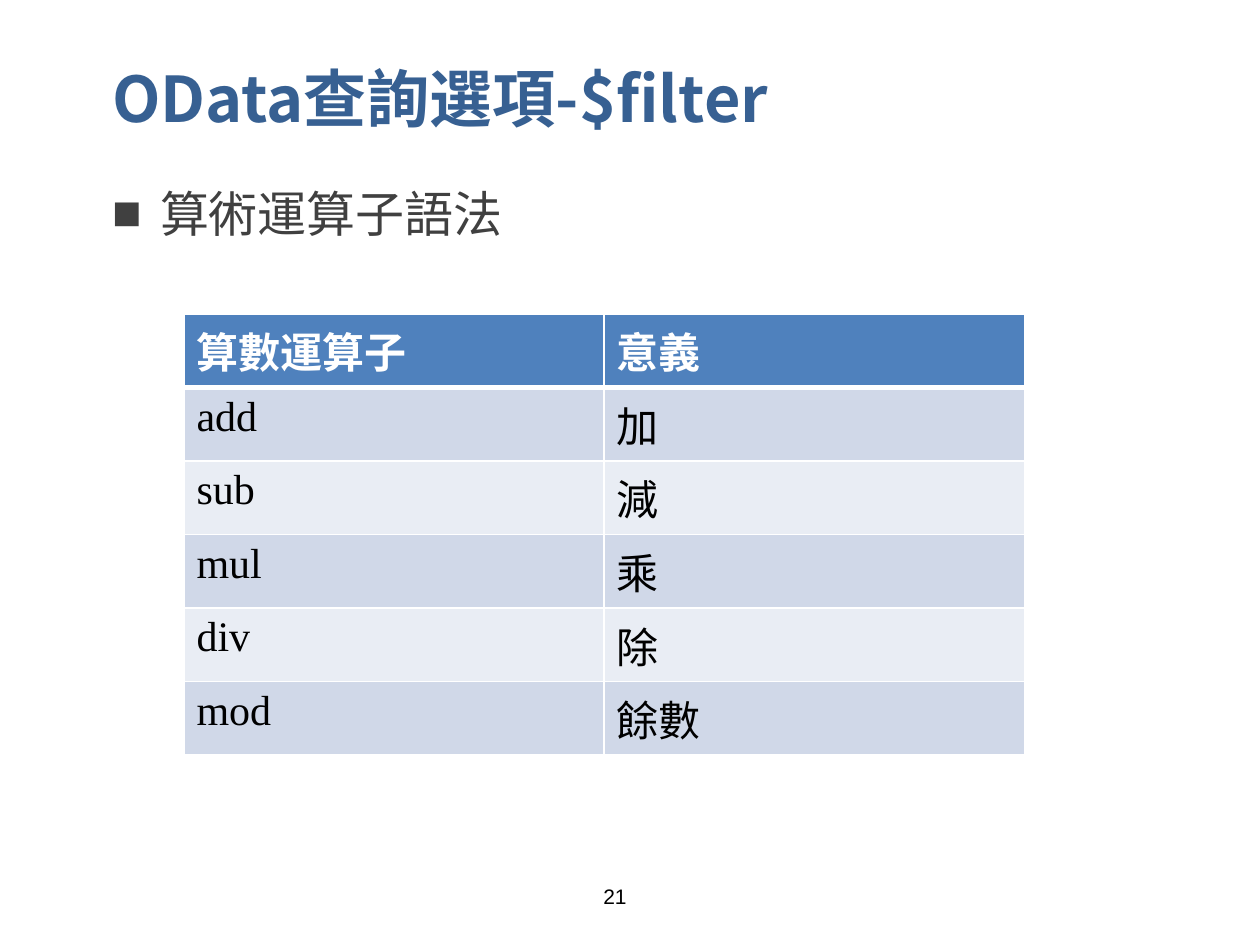
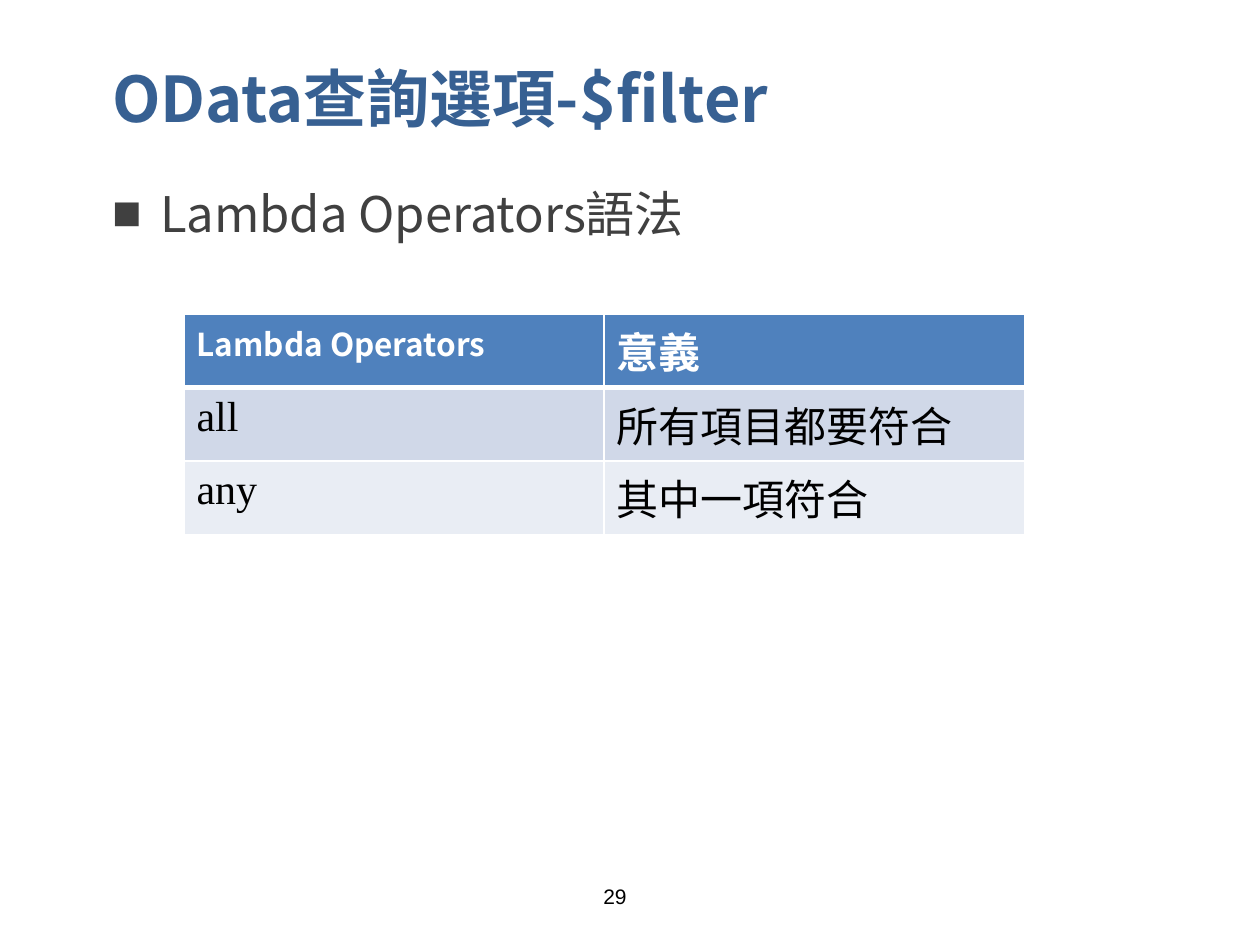
from dataclasses import dataclass

from lxml import etree
from pptx import Presentation
from pptx.dml.color import RGBColor
from pptx.enum.text import MSO_ANCHOR, PP_ALIGN
from pptx.oxml.ns import qn
from pptx.util import Inches, Pt

LEFT = PP_ALIGN.LEFT
MIDDLE, TOP = MSO_ANCHOR.MIDDLE, MSO_ANCHOR.TOP

TITLE = "OData查詢選項-$filter"
SLIDES = [
    {
        "page": "21",
        "topic": "算術運算子語法",
        "header_format": {},
        "operators": [
            ("算數運算子", "意義"),
            ("add", "加"),
            ("sub", "減"),
            ("mul", "乘"),
            ("div", "除"),
            ("mod", "餘數"),
        ],
    },
    {
        "page": "29",
        "topic": "Lambda Operators語法",
        "header_format": {"size": 18, "font": "Noto Sans CJK JP"},
        "operators": [
            ("Lambda Operators", "意義"),
            ("all", "所有項目都要符合"),
            ("any", "其中一項符合"),
        ],
    },
]


@dataclass(frozen=True)
class Theme:
    title: str = "376092"
    body: str = "404040"
    black: str = "000000"
    white: str = "FFFFFF"
    header: str = "4F81BD"
    bands: tuple = ("D0D8E8", "E9EDF4")
    title_font: str = "Noto Sans CJK JP"
    body_font: str = "Noto Sans CJK SC"
    table_font: str = "Times New Roman"
    page_font: str = "Arial"
    title_size: int = 36
    body_size: int = 28
    table_size: int = 24
    page_size: int = 12
    rule: int = 1
    header_rule: int = 3


THEME = Theme()
TITLE_BOX = (0.79, 0.42, 9.21, 0.71)
BODY_BOX = (0.79, 1.31, 9.21, 5.59)
PAGE_BOX = (4.69, 6.96, 0.63, 0.5)
TABLE_LEFT, TABLE_TOP, TABLE_WIDTH, ROW_HEIGHT = 1.46, 2.49, 6.67, 0.41
BULLET_INDENT = Inches(0.38)


def write(frame, text, *, size, color, font, east_font=THEME.title_font,
          bold=False, anchor=None):
    frame.word_wrap = True
    if anchor is not None:
        frame.vertical_anchor = anchor
    paragraph = frame.paragraphs[0]
    paragraph.alignment = LEFT
    run = paragraph.add_run()
    run.text = text
    run.font.size = Pt(size)
    run.font.bold = bold
    run.font.name = font
    run.font.color.rgb = RGBColor.from_string(color)
    latin = run.font._element.find(qn("a:latin"))
    latin.addnext(latin.makeelement(qn("a:ea"), {"typeface": east_font}))
    return paragraph


def place(shape, box):
    shape.left, shape.top, shape.width, shape.height = map(Inches, box)


def add_bullet(paragraph):
    paragraph.line_spacing = 1.2
    properties = paragraph._p.get_or_add_pPr()
    properties.set("marL", str(BULLET_INDENT))
    properties.set("indent", str(-BULLET_INDENT))
    etree.SubElement(properties, qn("a:buFont"), typeface=THEME.page_font)
    etree.SubElement(properties, qn("a:buChar"), char="■")


def set_borders(cell, top, bottom):
    properties = cell._tc.get_or_add_tcPr()
    widths = {"lnL": THEME.rule, "lnR": THEME.rule, "lnT": top, "lnB": bottom}
    for position, (side, width) in enumerate(widths.items()):
        line = properties.makeelement(qn(f"a:{side}"), {"w": str(Pt(width))})
        fill = etree.SubElement(line, qn("a:solidFill"))
        etree.SubElement(fill, qn("a:srgbClr"), val=THEME.white)
        properties.insert(position, line)


def add_operator_table(slide, operators, header_format):
    columns = len(operators[0])
    table = slide.shapes.add_table(
        len(operators), columns, Inches(TABLE_LEFT), Inches(TABLE_TOP),
        Inches(TABLE_WIDTH), Inches(ROW_HEIGHT * len(operators))).table
    for row, entries in enumerate(operators):
        is_header = row == 0
        background = THEME.header if is_header else THEME.bands[(row - 1) % 2]
        for column, entry in enumerate(entries):
            text_format = {
                "size": THEME.table_size,
                "font": THEME.table_font,
                "color": THEME.white if is_header else THEME.black,
                "bold": is_header,
            }
            if is_header and column == 0:
                text_format.update(header_format)
            cell = table.cell(row, column)
            cell.fill.solid()
            cell.fill.fore_color.rgb = RGBColor.from_string(background)
            set_borders(cell,
                        THEME.header_rule if row == 1 else THEME.rule,
                        THEME.header_rule if is_header else THEME.rule)
            write(cell.text_frame, entry, **text_format)


def add_filter_slide(deck, content):
    slide = deck.slides.add_slide(deck.slide_layouts[1])
    title, topic = slide.shapes.title, slide.placeholders[1]
    place(title, TITLE_BOX)
    write(title.text_frame, TITLE, size=THEME.title_size, color=THEME.title,
          font=THEME.title_font, bold=True, anchor=MIDDLE)
    place(topic, BODY_BOX)
    add_bullet(write(topic.text_frame, content["topic"], size=THEME.body_size,
                     color=THEME.body, font=THEME.body_font,
                     east_font=THEME.body_font, anchor=TOP))
    add_operator_table(slide, content["operators"], content["header_format"])
    page = slide.shapes.add_textbox(*map(Inches, PAGE_BOX))
    write(page.text_frame, content["page"], size=THEME.page_size,
          color=THEME.black, font=THEME.page_font, anchor=TOP)


def main():
    deck = Presentation()
    deck.slide_width, deck.slide_height = Inches(10), Inches(7.5)
    for content in SLIDES:
        add_filter_slide(deck, content)
    deck.save("out.pptx")


if __name__ == "__main__":
    main()
